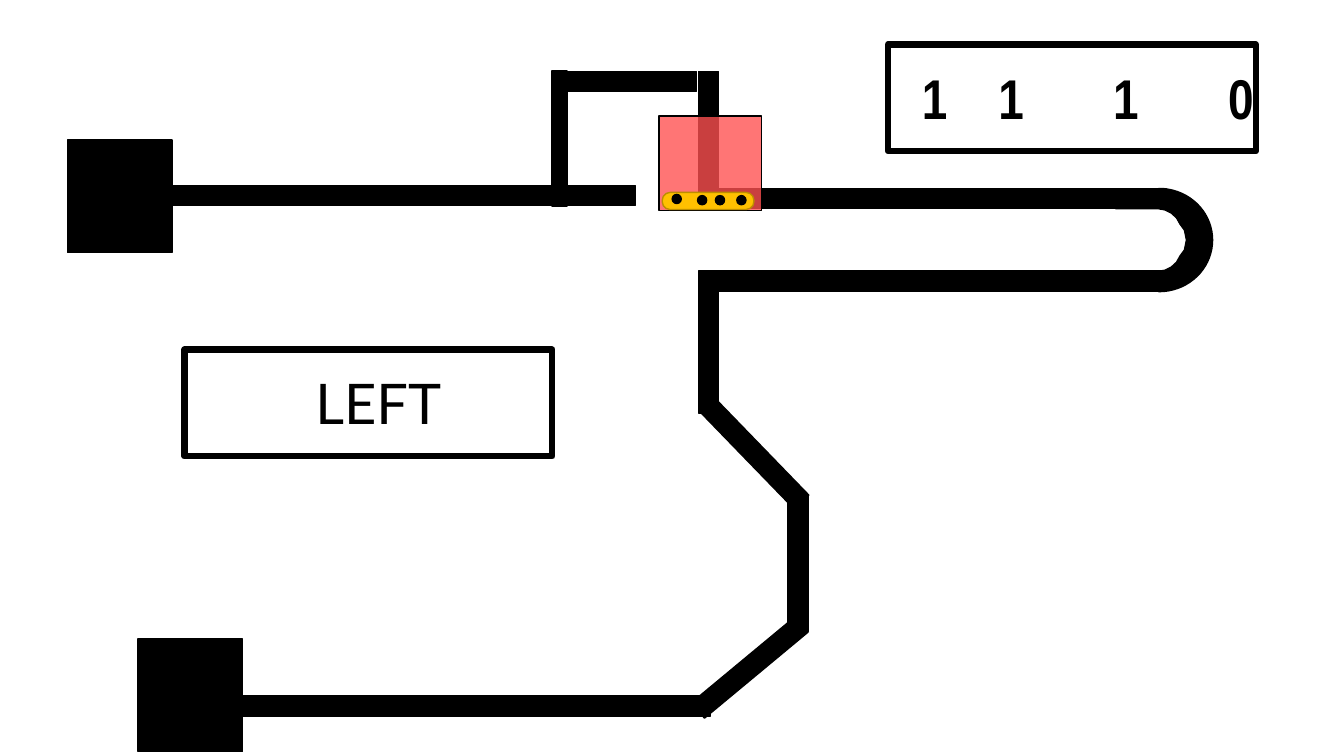
import math
from lxml import etree
from pptx import Presentation
from pptx import util as u
from pptx.dml.color import RGBColor
from pptx.enum import shapes, text
from pptx.oxml import ns

COLOURS = {"track": "000000", "paper": "FFFFFF", "robot": "FF5050",
           "sensor_bar": "FFC000", "sensor_edge": "BD8E00"}
RECT = shapes.MSO_SHAPE.RECTANGLE
ROUNDED = shapes.MSO_SHAPE.ROUNDED_RECTANGLE
OVAL = shapes.MSO_SHAPE.OVAL

deck = Presentation()
deck.slide_width, deck.slide_height = u.Cm(33.87), u.Cm(19.05)
slide = deck.slides.add_slide(deck.slide_layouts[6])


def paint(part, fill="track", edge="track", weight=1):
    part.shadow.inherit = False
    part.fill.solid()
    part.fill.fore_color.rgb = RGBColor.from_string(COLOURS[fill])
    part.line.color.rgb = RGBColor.from_string(COLOURS[edge])
    part.line.width = u.Pt(weight)


def add_part(kind, x, y, w, h, **style):
    part = slide.shapes.add_shape(kind, u.Cm(x), u.Cm(y), u.Cm(w), u.Cm(h))
    paint(part, **style)
    return part


SHORT, LONG, THICK = 3.4, 11.79, 0.51
track = [
    (13.91, 1.79, 0.38, SHORT, 0),
    (14.15, 1.8, SHORT, THICK, 0),
    (17.6, 1.8, THICK, SHORT, 0),
    (17.6, 4.75, LONG, THICK, 0),
    (17.6, 6.83, LONG, THICK, 0),
    (17.6, 7.01, THICK, SHORT, 0),
    (17.32, 11.18, SHORT, THICK, 45.9),
    (19.86, 12.5, THICK, SHORT, 0),
    (17.2, 16.56, SHORT, THICK, 320.3),
    (4.22, 4.67, LONG, THICK, 0),
    (6.12, 17.53, LONG, THICK, 0),
    (1.7, 3.53, 2.64, 2.84, 0),
    (3.48, 16.1, 2.64, 2.84, 0),
]
for x, y, w, h, angle in track:
    add_part(RECT, x, y, w, h).rotation = angle

bend_x, bend_y = 29.21, 6.05
outer = [(1.35 * math.cos(math.radians(a)), 1.3 * math.sin(math.radians(a)))
         for a in range(-90, 91, 5)]
lower_inner = [(-0.97, 0.91), (-1.09, 0.79), (-0.02, 0.79), (0.15, 0.76), (0.31, 0.68),
               (0.44, 0.56), (0.53, 0.4), (0.64, 0.25), (0.69, 0)]
upper_inner = [(dx, -dy) for dx, dy in reversed(lower_inner[:-1])]
outline = [(u.Cm(bend_x + dx), u.Cm(bend_y + dy))
           for dx, dy in outer + lower_inner + upper_inner]
bend = slide.shapes.build_freeform(*outline[0])
bend.add_line_segments(outline[1:], close=True)
paint(bend.convert_to_shape())

robot = add_part(RECT, 16.61, 2.92, 2.59, 2.39, fill="robot")
tint = robot.fill._xPr.find(".//" + ns.qn("a:srgbClr"))
etree.SubElement(tint, ns.qn("a:alpha"), val="79000")
sensor_bar = add_part(ROUNDED, 16.69, 4.85, 2.31, 0.43, fill="sensor_bar", edge="sensor_edge")
sensor_bar.adjustments[0] = 0.456
for x, y in [(18.57, 4.93), (18.03, 4.93), (17.58, 4.93), (16.94, 4.9)]:
    add_part(OVAL, x, y, 0.23, 0.23)

readouts = [
    ((22.38, 1.12), (22.66, 1.47, 9.8), "\t1\t1\t1\t0", "Arial Narrow", True,
     [0.32, 2.25, 5.14, 8.04]),
    ((4.65, 8.81), (7.7, 9.17, 8.74), "LEFT", "Lato", None, []),
]
for (frame_x, frame_y), (x, y, w), wording, font, bold, stops in readouts:
    add_part(RECT, frame_x, frame_y, 9.27, 2.69, fill="paper", weight=4.5)
    label = slide.shapes.add_textbox(u.Cm(x), u.Cm(y), u.Cm(w), u.Cm(1.96)).text_frame
    label.word_wrap = True
    label.auto_size = text.MSO_AUTO_SIZE.SHAPE_TO_FIT_TEXT
    line = label.paragraphs[0]
    line.text = wording
    if stops:
        tabs = etree.SubElement(line._p.get_or_add_pPr(), ns.qn("a:tabLst"))
        for stop in stops:
            etree.SubElement(tabs, ns.qn("a:tab"), pos=str(u.Cm(stop)), algn="l")
    line.font.name = font
    line.font.size = u.Pt(40)
    line.font.bold = bold
    line.font.color.rgb = RGBColor.from_string(COLOURS["track"])

deck.save("out.pptx")
